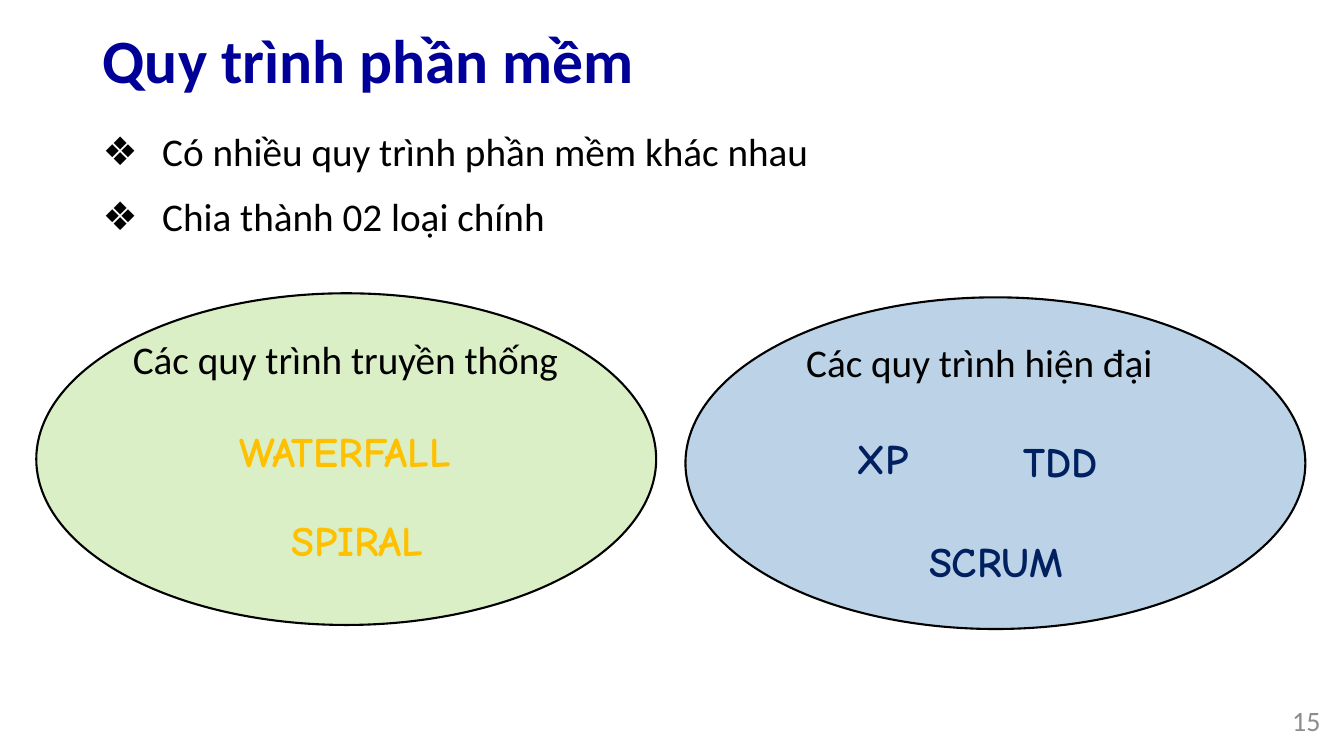
from dataclasses import dataclass

from lxml.etree import SubElement
from pptx import Presentation
from pptx.dml.color import RGBColor
from pptx.enum.shapes import MSO_SHAPE
from pptx.enum.text import MSO_ANCHOR, MSO_AUTO_SIZE, PP_ALIGN
from pptx.oxml.ns import qn
from pptx.util import Pt


@dataclass(frozen=True)
class Theme:
    """Colours, fonts and type sizes of the slide."""
    sans: str = "Calibri"
    comic: str = "Comic Neue"
    navy: str = "000099"
    black: str = "000000"
    gray: str = "8C8C8C"
    green: str = "92D050"
    blue: str = "2E75B6"
    gold: str = "FFC000"
    ink: str = "002060"
    head: int = 44
    body: int = 28
    label: int = 30
    note: int = 20


class Board:
    """Draws styled elements on the current slide."""

    def __init__(self, theme, slide):
        """Keep the theme and the slide."""
        self.theme, self.slide = theme, slide

    def place(self, shape, box):
        """Move a shape to a box given in points."""
        for name, value in zip(("left", "top", "width", "height"), box):
            setattr(shape, name, Pt(value))

    def letter(self, shape, lines, size, color, font=None, bold=False, anchor=MSO_ANCHOR.TOP, **para):
        """Fill a shape with formatted paragraphs."""
        frame = shape.text_frame
        frame.text = "\n".join(lines)
        frame.word_wrap = True
        frame.auto_size = MSO_AUTO_SIZE.NONE
        frame.vertical_anchor = anchor
        face = {"size": Pt(size), "name": font or self.theme.sans, "bold": bold}
        for item in frame.paragraphs:
            for name, value in para.items():
                setattr(item, name, value)
            for run in item.runs:
                for name, value in face.items():
                    setattr(run.font, name, value)
                run.font.color.rgb = RGBColor.from_string(color)

    def title(self, text, box):
        """Set the slide title."""
        shape = self.slide.shapes.title
        self.place(shape, box)
        self.letter(shape, [text], self.theme.head, self.theme.navy, bold=True,
                    anchor=MSO_ANCHOR.MIDDLE, alignment=PP_ALIGN.LEFT, line_spacing=0.9)

    def bullets(self, lines, box, indent):
        """Set the bulleted list."""
        shape = self.slide.placeholders[1]
        self.place(shape, box)
        self.letter(shape, lines, self.theme.body, self.theme.black, line_spacing=0.9,
                    space_before=Pt(10), space_after=Pt(6))
        for item in shape.text_frame.paragraphs:
            props = item._p.get_or_add_pPr()
            props.set("marL", str(Pt(indent)))
            props.set("indent", str(-Pt(indent)))
            SubElement(props, qn("a:buChar"), char="❖")

    def text(self, parent, text, box, size, color, **style):
        """Add a text box."""
        shape = parent.add_textbox(*map(Pt, box))
        self.letter(shape, [text], size, color, **style)

    def oval(self, parent, box, color=None):
        """Add an ellipse, tinted and outlined when a colour is given."""
        shape = parent.add_shape(MSO_SHAPE.OVAL, *map(Pt, box))
        shape.shadow.inherit = False
        if color:
            shape.fill.solid()
            shape.fill.fore_color.rgb = RGBColor.from_string(color)
            tint = shape.element.spPr.find(qn("a:solidFill")).find(qn("a:srgbClr"))
            SubElement(tint, qn("a:alpha"), val="32000")
            shape.line.color.rgb = RGBColor.from_string(self.theme.black)
            shape.line.width = Pt(1.5)
        else:
            shape.fill.background()
            shape.line.fill.background()
        return shape

    def family(self, spot, fill, caption, start, color, labels):
        """Add a grouped oval with its caption and process names."""
        group = self.slide.shapes.add_group_shape().shapes
        self.oval(group, (*spot, 442.8, 236.9), fill)
        self.text(group, caption, (*start, 324, 42.5), self.theme.body, self.theme.black,
                  line_spacing=0.8, space_before=Pt(10), space_after=Pt(6))
        for name, place in labels.items():
            shape = self.oval(group, (*place, 297.4, 81.4))
            self.letter(shape, [name], self.theme.label, color, font=self.theme.comic, bold=True,
                        anchor=MSO_ANCHOR.MIDDLE, alignment=PP_ALIGN.CENTER, space_after=Pt(6))


def main():
    """Build and save the slide."""
    deck = Presentation()
    deck.slide_width, deck.slide_height = Pt(960), Pt(540)
    theme = Theme()
    board = Board(theme, deck.slides.add_slide(deck.slide_layouts[1]))
    board.title("Quy trình phần mềm", (66.2, 16.6, 828, 57.6))
    board.bullets(["Có nhiều quy trình phần mềm khác nhau", "Chia thành 02 loại chính"],
                  (66.2, 91.4, 877.7, 403.2), 42.5)
    board.text(board.slide.shapes, "15", (734.4, 500.4, 216, 28.8), theme.note, theme.gray,
               anchor=MSO_ANCHOR.MIDDLE, alignment=PP_ALIGN.RIGHT)
    board.family((25.9, 209.5), theme.green, "Các quy trình truyền thống", (87.8, 242.6), theme.gold,
                 {"WATERFALL": (97.9, 281.5), "SPIRAL": (106.6, 344.9)})
    board.family((489.6, 212.4), theme.blue, "Các quy trình hiện đại", (568.8, 244.8), theme.ink,
                 {"XP": (481.7, 286.6), "TDD": (609.1, 288.7), "SCRUM": (563, 360)})
    deck.save("out.pptx")


if __name__ == "__main__":
    main()
